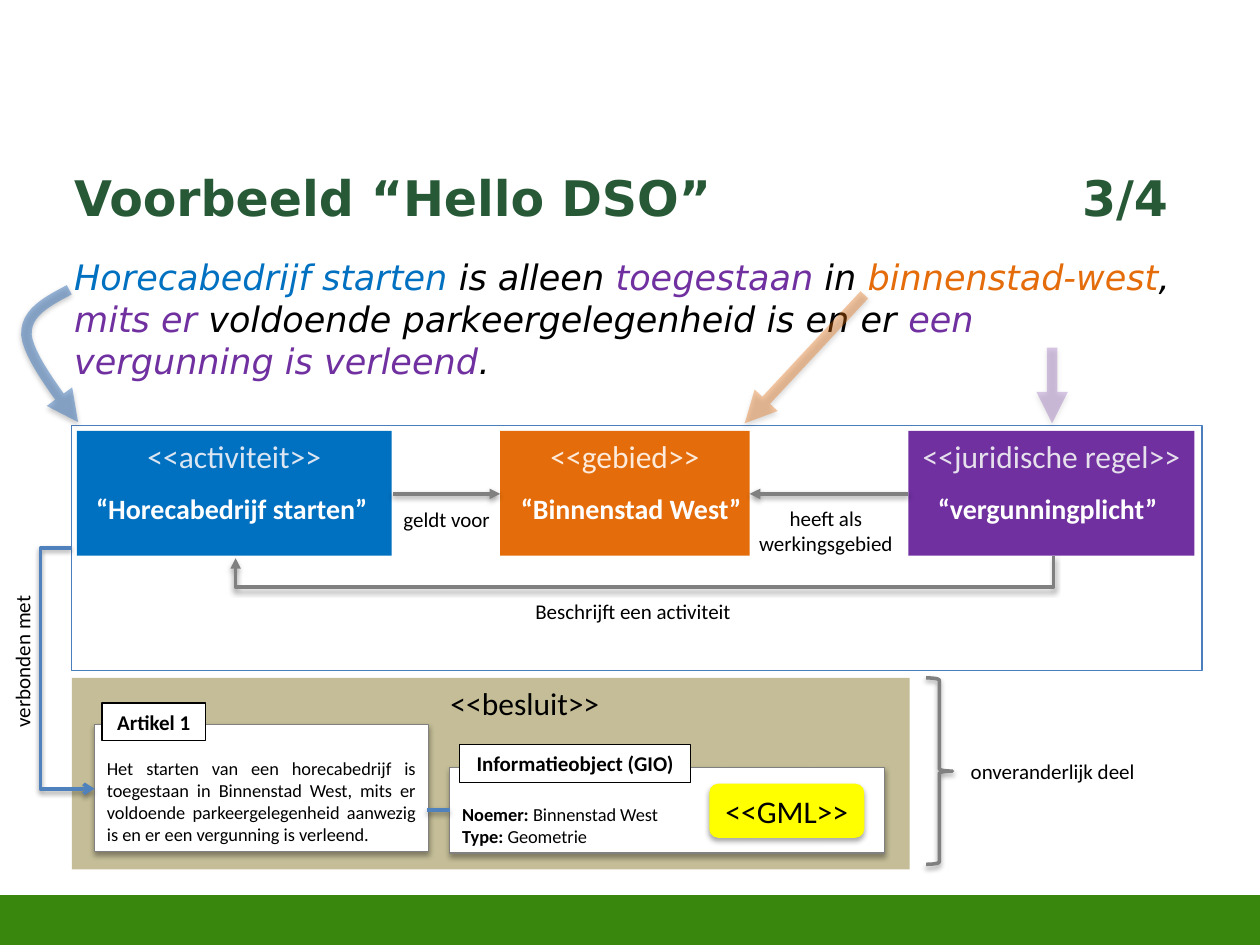
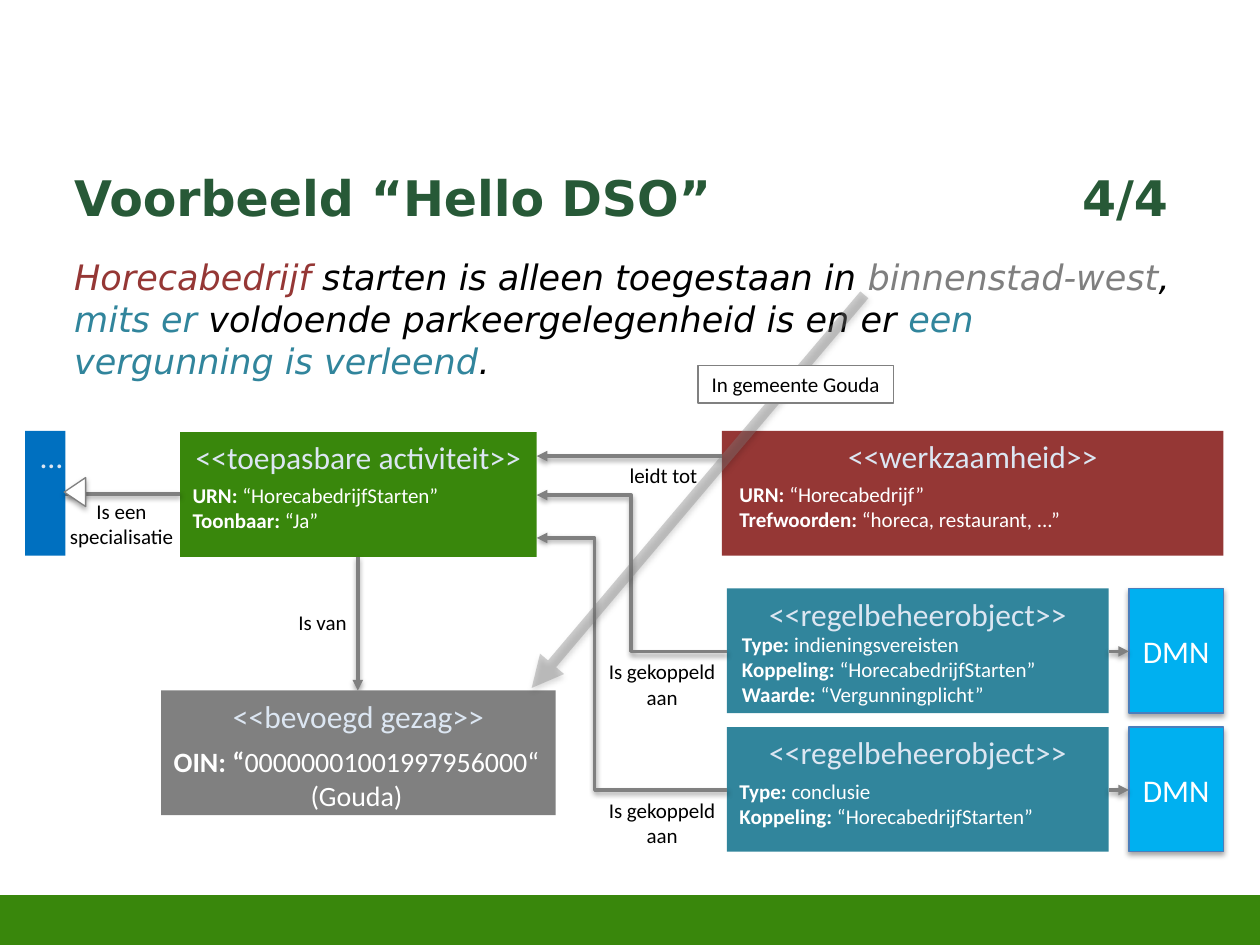
from dataclasses import dataclass

from lxml import etree
from pptx import Presentation
from pptx.dml.color import RGBColor
from pptx.enum import shapes, text
from pptx.oxml import ns
from pptx.util import Inches, Pt

KIND, LINK = shapes.MSO_SHAPE, shapes.MSO_CONNECTOR
LEFT, MID, JUST = text.PP_ALIGN.LEFT, text.PP_ALIGN.CENTER, text.PP_ALIGN.JUSTIFY
TOP, CORE, LOW = text.MSO_ANCHOR.TOP, text.MSO_ANCHOR.MIDDLE, text.MSO_ANCHOR.BOTTOM


@dataclass(frozen=True)
class Theme:
    head: str = "DejaVu Sans"
    font: str = "Calibri"
    title: int = 28
    quote: int = 20
    type: int = 18
    name: int = 16
    note: int = 12
    small: float = 10.5
    band: str = "39870C"
    pine: str = "275937"
    black: str = "000000"
    white: str = "FFFFFF"
    gray: str = "808080"
    ash: str = "7F7F7F"
    blue: str = "0070C0"
    orange: str = "E46C0A"
    purple: str = "7030A0"
    red: str = "953735"
    teal: str = "31859C"
    sky: str = "00B0F0"
    sand: str = "C4BD97"
    yellow: str = "FFFF00"
    steel: str = "4F81BD"
    edge: str = "4B7EBC"
    pale: str = "DCE6F2"
    peach: str = "FDEADA"
    lilac: str = "E6E0EC"


T = Theme()


def rgb(code):
    return RGBColor.from_string(code)


def sub(node, tag, **attrs):
    item = etree.SubElement(node, ns.qn("a:" + tag))
    for key, val in attrs.items():
        item.set(key, str(val))
    return item


def shade(props, alpha=35, dist=1.8):
    """Put a soft drop shadow in the effect list of a shape."""
    fx = props.find(ns.qn("a:effectLst"))
    if fx is None:
        fx = sub(props, "effectLst")
    cast = sub(fx, "outerShdw", blurRad=Pt(3.1), dist=Pt(dist), dir=5400000, rotWithShape=0)
    sub(sub(cast, "srgbClr", val=T.black), "alpha", val=alpha * 1000)


def stroke(item, color, width, tip=None, alpha=None):
    """Style a line, with an optional tip and opacity in percent."""
    item.line.color.rgb = rgb(color)
    item.line.width = Pt(width)
    ln = item.line._get_or_add_ln()
    if alpha:
        sub(ln.find(".//" + ns.qn("a:srgbClr")), "alpha", val=alpha * 1000)
    if tip:
        sub(ln, "tailEnd", type=tip)


def write(frame, lines, size, color, align=MID, bold=False, anchor=TOP, wrap=True):
    """Each line is a string, or a (bold key, plain value) pair."""
    frame.word_wrap = wrap
    frame.vertical_anchor = anchor
    for i, line in enumerate(lines):
        para = frame.paragraphs[0] if i == 0 else frame.add_paragraph()
        para.alignment = align
        font = para.font
        font.name, font.size, font.bold = T.font, Pt(size), bold
        font.color.rgb = rgb(color)
        pair = isinstance(line, tuple)
        for j, part in enumerate(line if pair else (line,)):
            run = para.add_run()
            run.text = part
            if pair:
                run.font.bold = j == 0


class Pane:
    """A region of a slide; all places are relative to its corner."""

    def __init__(self, slide, x, y):
        self.tree, self.x, self.y = slide.shapes, x, y

    def spot(self, x, y):
        return Inches(self.x + x), Inches(self.y + y)

    def box(self, x, y, w, h, fill=None, edge=None, kind=KIND.RECTANGLE,
            glow=False, width=0.75):
        item = self.tree.add_shape(kind, *self.spot(x, y), Inches(w), Inches(h))
        item.shadow.inherit = False
        if fill:
            item.fill.solid()
            item.fill.fore_color.rgb = rgb(fill)
        else:
            item.fill.background()
        if edge:
            stroke(item, edge, width)
        else:
            item.line.fill.background()
        if glow:
            shade(item._element.spPr)
        return item

    def label(self, x, y, w, h, *lines, size=T.note, color=T.black, **style):
        item = self.tree.add_textbox(*self.spot(x, y), Inches(w), Inches(h))
        write(item.text_frame, lines, size, color, **style)
        return item

    def card(self, x, y, w, h, fill, head, color=T.pale):
        item = self.box(x, y, w, h, fill)
        write(item.text_frame, [head], T.type, color)
        return item

    def tag(self, x, y, w, words, edge=T.black, bold=True):
        item = self.box(x, y, w, 0.3, T.white, edge)
        write(item.text_frame, [words], T.note, T.black, bold=bold, wrap=False)

    def line(self, a, b, color=T.gray, width=2, tip="triangle", alpha=None,
             via=None, down=False):
        """Straight, or bent at via: an x, or a y when the line leaves downward."""
        (ax, ay), (bx, by) = a, b
        if down:  # a sideways elbow, turned a quarter about its middle
            mx, my = (ax + bx) / 2, (ay + by) / 2
            w, h = by - ay, ax - bx
            bend = (via - ay) / w
            ax, ay, bx, by = mx - w / 2, my - h / 2, mx + w / 2, my + h / 2
        elif via is not None:
            bend = (via - ax) / (bx - ax)
        kind = LINK.STRAIGHT if via is None else LINK.ELBOW
        item = self.tree.add_connector(kind, *self.spot(ax, ay), *self.spot(bx, by))
        props = item._element.spPr
        if via is not None:
            guide = props.find(".//" + ns.qn("a:avLst"))
            if guide is None:
                guide = sub(props.find(ns.qn("a:prstGeom")), "avLst")
            sub(guide, "gd", name="adj1", fmla=f"val {round(bend * 100000)}")
        if down:
            props.find(ns.qn("a:xfrm")).set("rot", "5400000")
        stroke(item, color, width, tip, alpha)
        shade(props, 38, 1.6)

    def curve(self, start, *arcs):
        """A thick arrow along cubic arcs."""
        spots, p = [], start
        for b, c, d in arcs:
            for k in range(1, 13):
                t = k / 12
                s = 1 - t
                spots.append(tuple(
                    Inches(o + s**3 * p[i] + 3 * s * s * t * b[i] + 3 * s * t * t * c[i] + t**3 * d[i])
                    for i, o in enumerate((self.x, self.y))))
            p = d
        pen = self.tree.build_freeform(*self.spot(*start))
        pen.add_line_segments(spots, close=False)
        item = pen.convert_to_shape()
        item.fill.background()
        item.shadow.inherit = False
        stroke(item, T.steel, 6, "triangle", 56)
        shade(item._element.spPr, 38, 1.6)


def header(slide, page, quote):
    """Footer band, title with page count, and the quoted rule."""
    pane = Pane(slide, 0, 0)
    pane.box(0, 7.12, 10, 0.39, T.band, T.band, width=2)
    title = pane.label(0.49, 1.28, 9, 0.73, f"Voorbeeld “Hello DSO”\t{page}",
                       size=T.title, color=T.pine, align=LEFT, bold=True)
    para = title.text_frame.paragraphs[0]
    para.font.name = T.head
    tabs = sub(para._p.pPr, "tabLst")
    sub(tabs, "tab", pos=Inches(8), algn="l")
    para._p.pPr.find(ns.qn("a:defRPr")).addprevious(tabs)

    body = pane.label(0.49, 1.98, 8.99, 1.44, size=T.quote)
    para = body.text_frame.paragraphs[0]
    para.space_before = Pt(4)
    para.font.name, para.font.size, para.font.italic = T.head, Pt(T.quote), True
    for words, color in quote:
        run = para.add_run()
        run.text = words
        run.font.color.rgb = rgb(color)


def rules(slide, x, y):
    """Activity, area and legal rule in one frame."""
    pane = Pane(slide, x, y)
    pane.box(0, 0, 8.97, 1.94, edge=T.edge)
    for left, w, fill, head, color, name, shift in (
            (3.4, 1.98, T.orange, "<<gebied>>", T.peach, "“Binnenstad West”", 0.05),
            (0.04, 2.5, T.blue, "<<activiteit>>", T.pale, "“Horecabedrijf starten”", -0.02),
            (6.64, 2.27, T.purple, "<<juridische regel>>", T.lilac, "“vergunningplicht”", -0.03)):
        pane.card(left, 0.04, w, 0.99, fill, head, color)
        pane.label(left + shift, 0.47, w, 0.37, name, size=T.name, color=T.white,
                   bold=True, wrap=False)
    # Relations
    pane.line((2.55, 0.54), (3.4, 0.54))
    pane.line((6.64, 0.54), (5.38, 0.54))
    pane.line((7.79, 1.03), (1.3, 1.05), via=1.28, down=True)
    pane.label(2.53, 0.59, 0.89, 0.3, "geldt voor", wrap=False)
    pane.label(5.34, 0.58, 1.29, 0.5, "heeft als werkingsgebied")
    pane.label(3.57, 1.32, 1.77, 0.3, "Beschrijft een activiteit", wrap=False)
    # Arrows from the quoted words
    pane.line((6.29, -1.04), (5.34, -0.02), T.orange, 6, alpha=36)
    pane.line((7.78, -0.62), (7.78, -0.02), T.purple, 6, alpha=25)
    pane.curve((-0.02, -1.08),
               ((-0.19, -0.99), (-0.37, -0.9), (-0.36, -0.72)),
               ((-0.34, -0.55), (-0.14, -0.29), (0.05, -0.03)))


def decree(slide, x, y):
    """The decree with its article and information object."""
    pane = Pane(slide, x, y)
    base = pane.card(0, 0, 6.65, 1.52, T.sand, "<<besluit>>", T.black)
    base.text_frame.margin_left = Inches(0.64)
    item = pane.box(0.18, 0.37, 2.65, 1.01, T.white, T.gray, glow=True)
    write(item.text_frame, [
        "Het starten van een horecabedrijf is toegestaan in Binnenstad West, mits er "
        "voldoende parkeergelegenheid aanwezig is en er een vergunning is verleend."],
        T.small, T.black, JUST, anchor=LOW)
    pane.tag(0.24, 0.2, 0.82, "Artikel 1")
    item = pane.box(3, 0.71, 3.45, 0.68, T.white, T.gray, glow=True)
    write(item.text_frame, [("Noemer: ", "Binnenstad West"), ("Type: ", "Geometrie")],
          T.small, T.black, LEFT, anchor=LOW)
    pane.tag(3.08, 0.53, 1.83, "Informatieobject (GIO)")
    item = pane.box(5.06, 0.84, 1.23, 0.43, T.yellow, kind=KIND.ROUNDED_RECTANGLE, glow=True)
    write(item.text_frame, ["<<GML>>"], T.type, T.black, anchor=CORE)
    pane.line((2.82, 1.05), (3, 1.05), T.steel, tip=None)
    # Brace
    pane.box(6.78, 0, 0.21, 1.48, edge=T.gray, kind=KIND.RIGHT_BRACE, glow=True, width=2)
    pane.label(6.94, 0.59, 1.69, 0.3, "onveranderlijk deel")


def tie(slide, x, y):
    """The link from the rules down to the article, in front of the decree."""
    pane = Pane(slide, x, y)
    pane.line((0, 0.97), (0.18, 2.88), T.steel, tip="arrow", via=-0.25)
    pane.label(-1.02, 1.72, 1.25, 0.3, "verbonden met", wrap=False).rotation = 270


def work(slide, x, y):
    """The kind of work that leads to the activity."""
    pane = Pane(slide, x, y)
    pane.card(0, 0, 3.98, 0.99, T.red, "<<werkzaamheid>>")
    pane.line((0, 0.2), (-1.47, 0.2))
    pane.label(-0.84, 0.2, 0.75, 0.3, "leidt tot", wrap=False)
    pane.label(0.04, 0.35, 3.83, 0.5, ("URN: ", "“Horecabedrijf”"),
               ("Trefwoorden: ", "“horeca, restaurant, ...”"), color=T.white, align=LEFT)


def manage(slide, x, y, facts, at, bend, rise):
    """A rule object with its DMN and its link back to the activity."""
    pane = Pane(slide, x, y)
    pane.card(0, 0, 3.03, 0.99, T.teal, "<<regelbeheerobject>>")
    pane.label(*at, 3.35, 0.5, *facts, color=T.white, align=LEFT)
    pane.line((0, 0.5), (-1.51, rise), via=bend)
    pane.label(-1.05, 0.51, 1.07, 0.5, "Is gekoppeld aan")
    item = pane.box(3.19, 0, 0.75, 0.99, T.sky, T.edge, glow=True)
    write(item.text_frame, ["DMN"], T.type, T.white, anchor=CORE)
    pane.line((3.03, 0.5), (3.19, 0.5))


def act(slide, x, y):
    """The activity, its parent at the left and its authority below."""
    pane = Pane(slide, x, y)
    pane.card(1.23, 0.01, 2.83, 0.99, T.band, "<<toepasbare activiteit>>")
    pane.label(1.23, 0.36, 2.83, 0.5, ("URN: ", "“HorecabedrijfStarten”"),
               ("Toonbaar: ", "“Ja”"), color=T.white, align=LEFT)
    # Parent
    pane.line((1.23, 0.5), (0.32, 0.5), tip=None)
    pane.card(0, 0, 0.32, 0.99, T.blue, "…").text_frame.margin_right = 0
    pane.label(0.23, 0.49, 1.07, 0.5, "Is een specialisatie")
    pane.box(0.28, 0.4, 0.23, 0.17, T.white, T.gray, KIND.ISOSCELES_TRIANGLE,
             glow=True).rotation = 270
    # Authority
    pane.line((2.64, 1), (2.64, 2.06))
    pane.card(1.08, 2.06, 3.13, 0.99, T.gray, "<<bevoegd gezag>>")
    pane.label(1.06, 2.44, 3.14, 0.64, ("OIN: “", "00000001001997956000“"), "(Gouda)",
               size=T.name, color=T.white, wrap=False)
    pane.label(1.67, 1.37, 1.38, 0.3, "Is van")
    # Place named in the quote
    pane.line((6.66, -1.08), (4.02, 2.04), T.ash, 6, alpha=36)
    pane.tag(5.34, -0.52, 1.55, "In gemeente Gouda", T.gray, False)


deck = Presentation()
deck.slide_width, deck.slide_height = Inches(10), Inches(7.5)
blank = deck.slide_layouts[6]


def quote(first, place, rule):
    return [*first, ("binnenstad-west", place), (", ", T.black), ("mits er ", rule),
            ("voldoende parkeergelegenheid is en er ", T.black),
            ("een vergunning is verleend", rule), (".", T.black)]


one = deck.slides.add_slide(blank)
header(one, "3/4", quote([("Horecabedrijf starten ", T.blue), ("is alleen ", T.black),
                          ("toegestaan", T.purple), (" in ", T.black)], T.orange, T.purple))
rules(one, 0.57, 3.38)
decree(one, 0.57, 5.38)
tie(one, 0.57, 3.38)

two = deck.slides.add_slide(blank)
header(two, "4/4", quote([("Horecabedrijf", T.red),
                          (" starten is alleen toegestaan in ", T.black)], T.ash, T.teal))
work(two, 5.73, 3.42)
link = "“HorecabedrijfStarten”"
manage(two, 5.77, 4.67, [("Type: ", "indieningsvereisten"), ("Koppeling: ", link),
                         ("Waarde:", " “Vergunningplicht”")], (0.02, 0.29), -0.76, -0.74)
manage(two, 5.77, 5.77, [("Type: ", "conclusie"), ("Koppeling:", " " + link)],
       (0, 0.36), -1.05, -1.5)
act(two, 0.2, 3.42)

deck.save("out.pptx")
